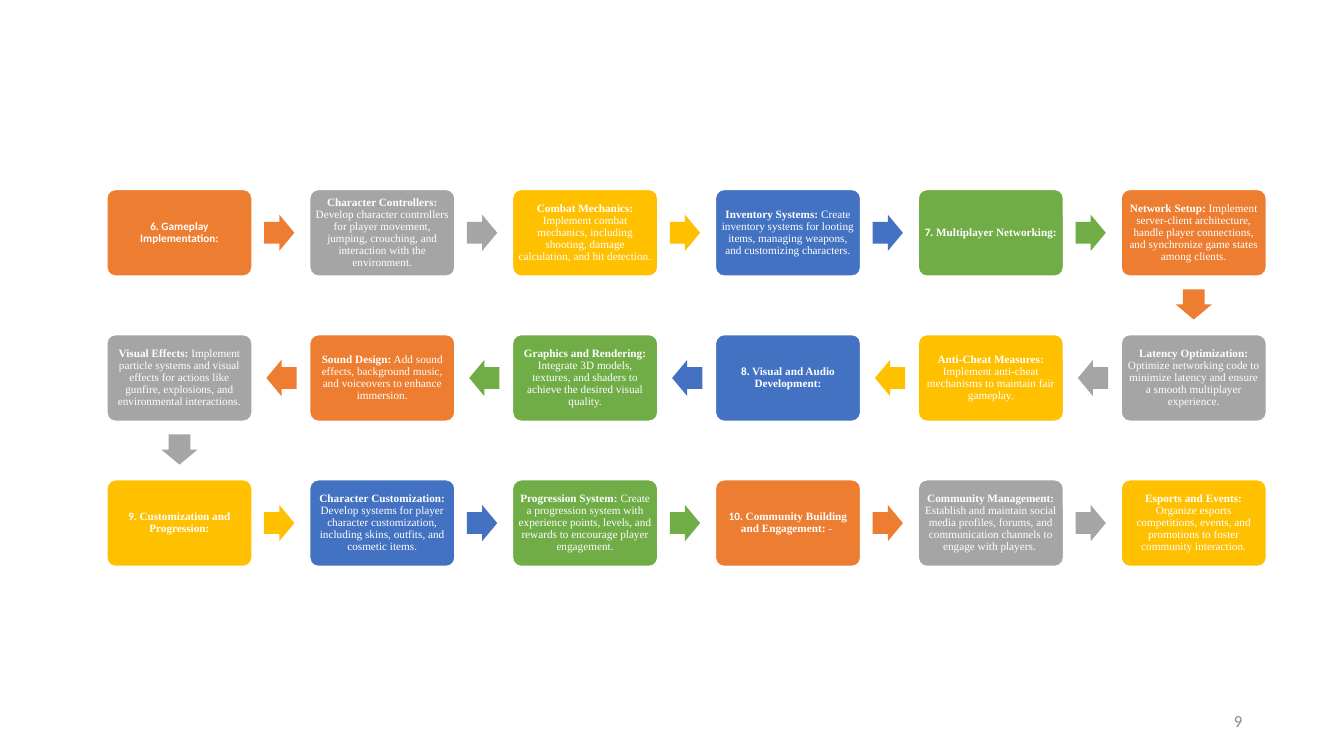
from pptx import Presentation
from pptx import util as u
from pptx.dml.color import RGBColor
from pptx.enum import shapes, text

STEPS = [
    ("6. Gameplay Implementation:", "", "", ""),
    ("", "Character Controllers:", " Develop character controllers for player movement, jumping, crouching, and interaction with the environment.", ""),
    ("", "Combat Mechanics:", " Implement combat mechanics, including shooting, damage calculation, and hit detection.", ""),
    ("", "Inventory Systems:", " Create inventory systems for looting items, managing weapons, and customizing characters.", ""),
    ("7", ". Multiplayer Networking:", "", ""),
    ("", "Network Setup:", " Implement server-client architecture, handle player connections, and synchronize game states among clients.", ""),
    ("", "Latency Optimization:", " Optimize networking code to minimize latency and ensure a smooth multiplayer experience.", ""),
    ("", "Anti-Cheat Measures:", " Implement anti-cheat mechanisms to maintain fair gameplay.", ""),
    ("8", ". Visual and Audio Development:", "", ""),
    ("", "Graphics and Rendering:", " Integrate 3D models, textures, and shaders to achieve the desired visual quality.", ""),
    ("", "Sound Design:", " Add sound effects, background music, and voiceovers to enhance immersion", "."),
    ("", "Visual Effects:", " Implement particle systems and visual effects for actions like gunfire, explosions, and environmental interactions.", ""),
    ("9. ", "Customization and Progression:", "", ""),
    ("", "Character Customization:", " Develop systems for player character customization, including skins, outfits, and cosmetic items.", ""),
    ("", "Progression System:", " Create a progression system with experience points, levels, and rewards to encourage player engagement.", ""),
    ("10", ". Community Building and Engagement:", " - ", ""),
    ("", "Community Management:", " Establish and maintain social media profiles, forums, and communication channels to engage with players", ". "),
    ("", "Esports and Events:", " Organize esports competitions, events, and promotions to foster community interaction.", ""),
]
PAGE = "9"
SANS, SERIF = "Calibri", "Times New Roman"
STYLES = [(SANS, True), (SERIF, True), (SERIF, False), (SANS, False)]
HEX = {"orange": "ED7D31", "gray": "A5A5A5", "gold": "FFC000",
       "blue": "4372C3", "green": "70AD47", "white": "FFFFFF", "page": "888888"}
CYCLE = ["orange", "gray", "gold", "blue", "green"]

COLS = 6
LEFT, TOP = 1.06, 1.88
STEP_X, STEP_Y = (11.12 - LEFT) / (COLS - 1), 1.44
BOX_W, BOX_H = 1.44, 0.86
ARROW_W, ARROW_H = 0.3, 0.36


def rgb(name):
    return RGBColor.from_string(HEX[name])


def add_part(slide, kind, x, y, w, h, color):
    part = slide.shapes.add_shape(kind, *map(u.Inches, (x, y, w, h)))
    part.shadow.inherit = False
    part.fill.solid()
    part.fill.fore_color.rgb = rgb(color)
    return part


def add_box(slide, x, y, color, parts):
    box = add_part(slide, shapes.MSO_SHAPE.ROUNDED_RECTANGLE, x, y, BOX_W, BOX_H, color)
    box.adjustments[0] = 0.1
    box.line.color.rgb = rgb("white")
    box.line.width = u.Pt(1)
    frame = box.text_frame
    frame.word_wrap = True
    frame.vertical_anchor = text.MSO_ANCHOR.MIDDLE
    frame.margin_left = frame.margin_right = u.Inches(0.03)
    frame.margin_top = frame.margin_bottom = u.Inches(0.03)
    para = frame.paragraphs[0]
    para.alignment = text.PP_ALIGN.CENTER
    para.line_spacing = 0.9
    para.font.size = u.Pt(8)
    para.font.color.rgb = rgb("white")
    for words, (face, bold) in zip(parts, STYLES):
        if words:
            run = para.add_run()
            run.text = words
            run.font.name = face
            run.font.bold = bold


def add_arrow(slide, x, y, color, turn):
    arrow = add_part(slide, shapes.MSO_SHAPE.RIGHT_ARROW, x, y, ARROW_W, ARROW_H, color)
    arrow.adjustments[0] = 0.6
    arrow.adjustments[1] = 0.5
    arrow.rotation = turn
    arrow.line.fill.background()


def add_page(slide):
    box = slide.shapes.add_textbox(*map(u.Inches, (9.42, 6.95, 3, 0.4)))
    frame = box.text_frame
    frame.word_wrap = True
    frame.vertical_anchor = text.MSO_ANCHOR.MIDDLE
    para = frame.paragraphs[0]
    para.text = PAGE
    para.alignment = text.PP_ALIGN.RIGHT
    para.font.size = u.Pt(12)
    para.font.name = SANS
    para.font.color.rgb = rgb("page")


def main():
    deck = Presentation()
    deck.slide_width, deck.slide_height = u.Inches(13.33), u.Inches(7.5)
    slide = deck.slides.add_slide(deck.slide_layouts[6])
    add_page(slide)
    for i, parts in enumerate(STEPS):
        row, col = divmod(i, COLS)
        back = row % 2 == 1
        x = LEFT + STEP_X * (COLS - 1 - col if back else col)
        y = TOP + STEP_Y * row
        color = CYCLE[i % len(CYCLE)]
        add_box(slide, x, y, color, parts)
        mid = y + (BOX_H - ARROW_H) / 2
        if i == len(STEPS) - 1:
            continue
        if col == COLS - 1:
            add_arrow(slide, x + (BOX_W - ARROW_W) / 2, y + 0.96, color, 90)
        elif back:
            add_arrow(slide, x - 0.43, mid, color, 180)
        else:
            add_arrow(slide, x + 1.56, mid, color, 0)
    deck.save("out.pptx")


if __name__ == "__main__":
    main()
